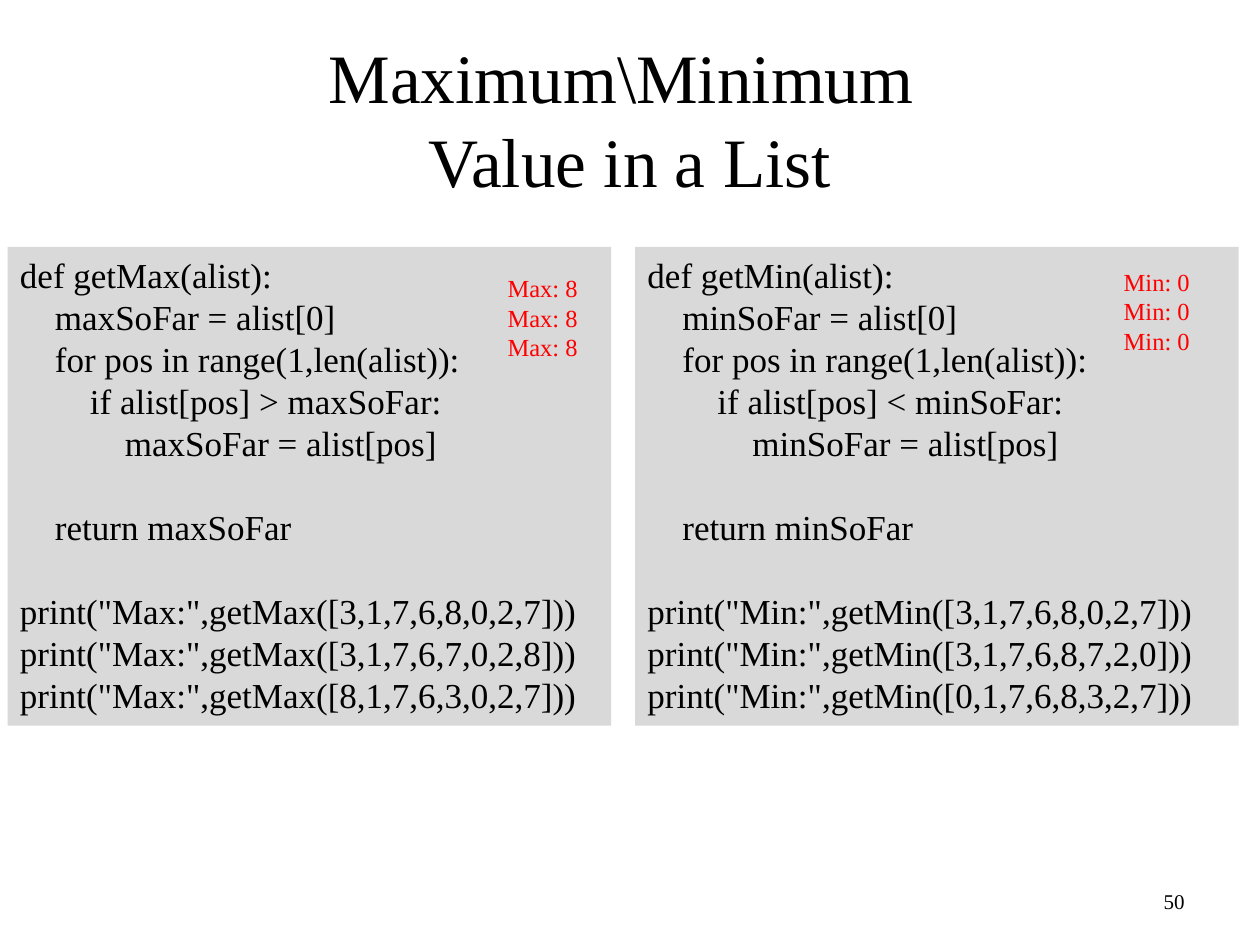
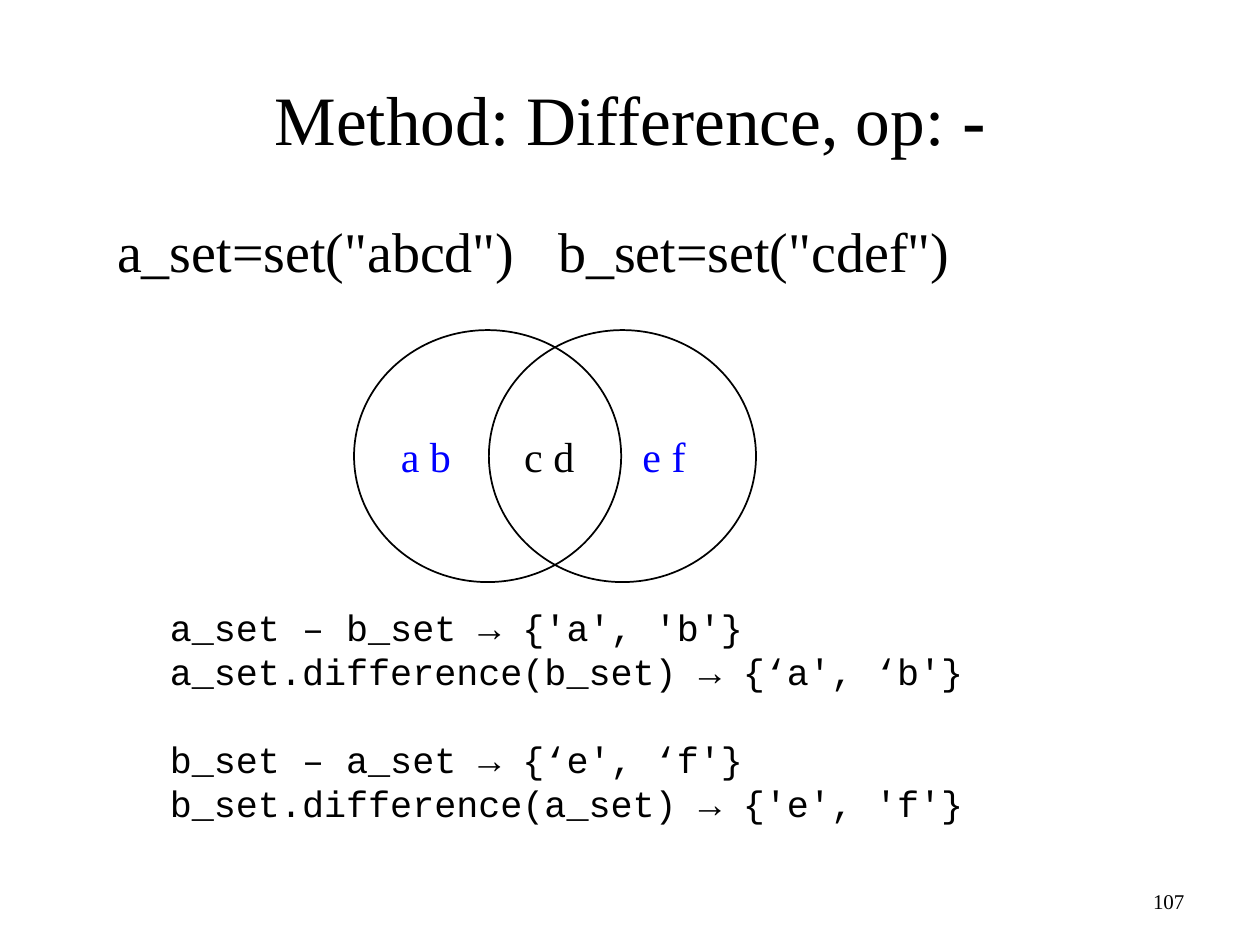
from dataclasses import dataclass

from lxml.etree import SubElement
from pptx import Presentation
from pptx.dml.color import RGBColor
from pptx.enum.shapes import MSO_SHAPE as Preset
from pptx.enum.text import MSO_ANCHOR as Anchor, MSO_AUTO_SIZE as AutoSize, PP_ALIGN as Align
from pptx.oxml.ns import qn
from pptx.util import Inches, Pt

TITLE_ONLY, TITLE_AND_BODY = 5, 1


@dataclass(frozen=True)
class Theme:
    serif: str = "Times New Roman"
    mono: str = "Courier New"
    ink: RGBColor = RGBColor(0, 0, 0)
    panel: RGBColor = RGBColor(0xD9, 0xD9, 0xD9)
    output: RGBColor = RGBColor(0xFF, 0, 0)
    accent: RGBColor = RGBColor(0, 0, 0xFF)
    title_size: float = 39.6
    body_size: float = 32
    label_size: float = 24
    session_size: float = 21
    code_size: float = 20
    output_size: float = 14
    number_size: float = 12
    leading: float = 1.2


class Deck:
    def __init__(self, theme):
        self.theme = theme
        self.deck = Presentation()
        self.deck.slide_width, self.deck.slide_height = Inches(10), Inches(7.5)
        self.slide = None

    def style(self, paragraph, size, color=None, font=None, align=Align.LEFT):
        paragraph.alignment = align
        paragraph.font.name = font or self.theme.serif
        paragraph.font.size = Pt(size)
        paragraph.font.color.rgb = color or self.theme.ink

    def place(self, shape, left, top, width, height, anchor=Anchor.TOP):
        """Set the box and the text frame settings; return the text frame."""
        shape.left, shape.top = Inches(left), Inches(top)
        shape.width, shape.height = Inches(width), Inches(height)
        frame = shape.text_frame
        frame.word_wrap = True
        frame.auto_size = AutoSize.NONE
        frame.vertical_anchor = anchor
        return frame

    def lines(self, frame, text, size, color=None, font=None):
        """Write one paragraph a line; an empty line becomes space before the next."""
        pitch = Pt(size * self.theme.leading)
        gap = 0
        paragraph = None
        for line in text.split("\n"):
            if not line:
                gap += pitch
                continue
            paragraph = frame.add_paragraph() if paragraph else frame.paragraphs[0]
            paragraph.text = line
            paragraph.line_spacing = pitch
            if gap:
                paragraph.space_before = gap
            self.style(paragraph, size, color, font)
            gap = 0

    def new_slide(self, layout, title, number, bold_end=""):
        self.slide = self.deck.slides.add_slide(self.deck.slide_layouts[layout])
        frame = self.place(self.slide.shapes.title, 0.75, 0.31, 8.5, 1.25, Anchor.MIDDLE)
        heading = frame.paragraphs[0]
        heading.text = title
        if bold_end:
            ending = heading.add_run()
            ending.text = bold_end
            ending.font.bold = True
        self.style(heading, self.theme.title_size, align=Align.CENTER)
        self.label(str(number), 7.17, 6.95, 2.33, 0.4, self.theme.number_size, align=Align.RIGHT)

    def label(self, text, left, top, width, height, size, color=None, align=Align.CENTER):
        box = self.slide.shapes.add_textbox(0, 0, 0, 0)
        frame = self.place(box, left, top, width, height, Anchor.MIDDLE)
        frame.text = text
        self.style(frame.paragraphs[0], size, color, align=align)

    def body_columns(self, columns, column_width):
        """Write the columns on one body line, parted by tab stops."""
        frame = self.place(self.slide.placeholders[1], 0.83, 1.67, 8.26, 0.85)
        paragraph = frame.paragraphs[0]
        paragraph.text = "\t".join(columns)
        properties = paragraph._p.get_or_add_pPr()
        properties.set("marL", "0")
        properties.set("indent", "0")
        SubElement(properties, qn("a:buNone"))
        tabs = SubElement(properties, qn("a:tabLst"))
        for column in range(1, len(columns)):
            SubElement(tabs, qn("a:tab"), pos=str(Inches(column * column_width)), algn="l")
        paragraph.space_before = Pt(0)
        self.style(paragraph, self.theme.body_size)

    def panel(self, text, left, top, width, height, size, color=None):
        box = self.slide.shapes.add_shape(Preset.RECTANGLE, 0, 0, 0, 0)
        box.shadow.inherit = False
        box.fill.solid()
        box.fill.fore_color.rgb = self.theme.panel
        box.line.fill.background()
        self.lines(self.place(box, left, top, width, height), text, size, color)

    def session(self, text, left, top, width, height):
        box = self.slide.shapes.add_textbox(0, 0, 0, 0)
        self.lines(self.place(box, left, top, width, height), text,
                   self.theme.session_size, font=self.theme.mono)

    def circle(self, left, top, width, height):
        outline = self.slide.shapes.add_shape(
            Preset.OVAL, Inches(left), Inches(top), Inches(width), Inches(height))
        outline.shadow.inherit = False
        outline.fill.background()
        outline.line.color.rgb = self.theme.ink
        outline.line.width = Pt(1)

    def save(self):
        self.deck.save("out.pptx")


def search_code(name, comparison, samples):
    """Code that finds the extreme value called name, with one call a sample."""
    so_far = f"{name.lower()}SoFar"
    calls = "\n".join(f'print("{name}:",get{name}([{sample}]))' for sample in samples)
    return f"""def get{name}(alist):
    {so_far} = alist[0]
    for pos in range(1,len(alist)):
        if alist[pos] {comparison} {so_far}:
            {so_far} = alist[pos]

    return {so_far}

{calls}"""


def extremes_slide(deck):
    theme = deck.theme
    deck.new_slide(TITLE_ONLY, "Maximum\\Minimum \vValue in a List", 50)
    searches = [
        ("Max", ">", 8, ["3,1,7,6,8,0,2,7", "3,1,7,6,7,0,2,8", "8,1,7,6,3,0,2,7"],
         0.06, (3.93, 2.12)),
        ("Min", "<", 0, ["3,1,7,6,8,0,2,7", "3,1,7,6,8,7,2,0", "0,1,7,6,8,3,2,7"],
         5.04, (8.82, 2.07)),
    ]
    for name, comparison, result, samples, left, output_at in searches:
        deck.panel(search_code(name, comparison, samples), left, 1.96, 4.79, 3.8,
                   theme.code_size)
        printed = "\n".join([f"{name}: {result}"] * len(samples))
        deck.panel(printed, *output_at, 0.84, 0.81, theme.output_size, theme.output)


def difference_slide(deck):
    theme = deck.theme
    deck.new_slide(TITLE_AND_BODY, "Method: Difference, op: ", 107, bold_end="-")
    deck.body_columns(['a_set=set("abcd")', 'b_set=set("cdef")'], 4.04)
    deck.session("""a_set – b_set → {'a', 'b'}
a_set.difference(b_set) → {‘a', ‘b'}

b_set – a_set → {‘e', ‘f'}
b_set.difference(a_set) → {'e', 'f'}""", 1.25, 4.75, 7.5, 2.22)
    for left in (3.88, 2.81):
        deck.circle(left, 2.62, 2.12, 2)
    members = [("a b", 3.38, theme.accent), ("c d", 4.36, theme.ink), ("e f", 5.27, theme.accent)]
    width, height = 0.8, 0.5
    for letters, center, color in members:
        deck.label(letters, center - width / 2, 3.62 - height / 2, width, height,
                   theme.label_size, color)


def main():
    deck = Deck(Theme())
    extremes_slide(deck)
    difference_slide(deck)
    deck.save()


if __name__ == "__main__":
    main()
